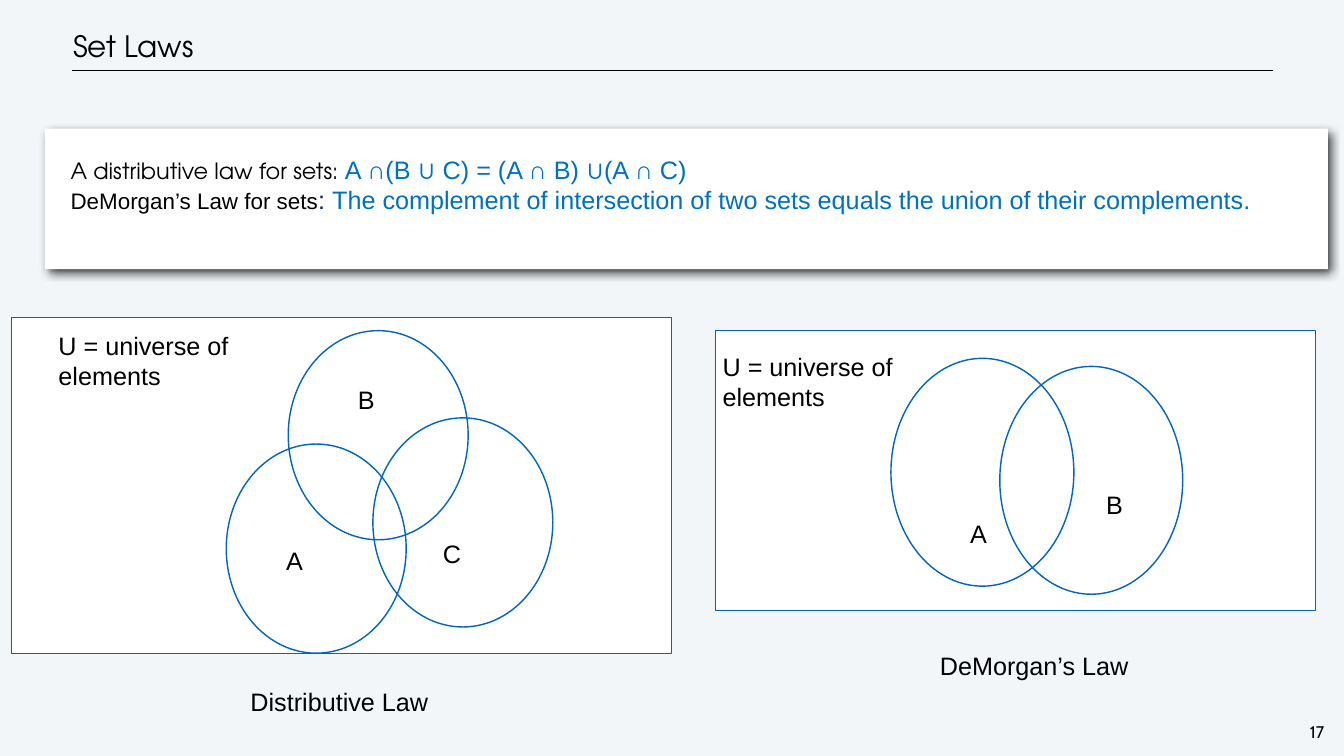
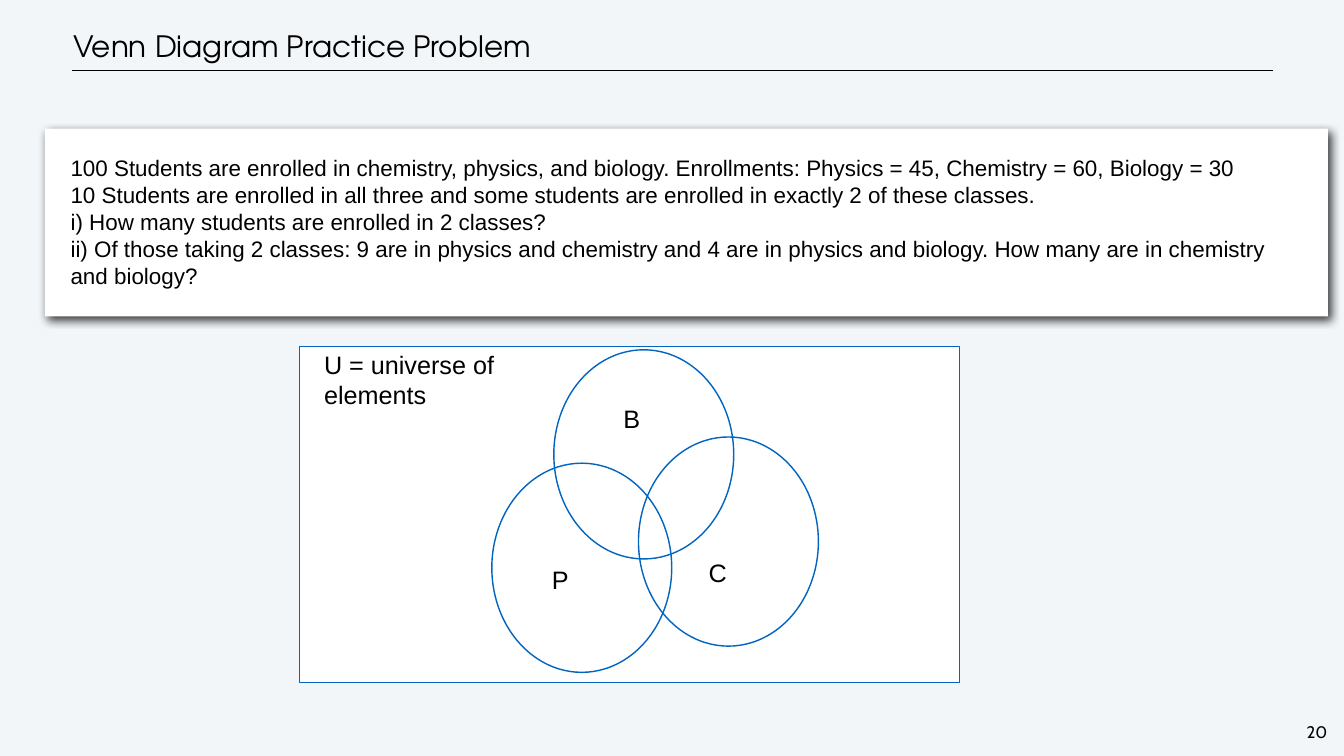
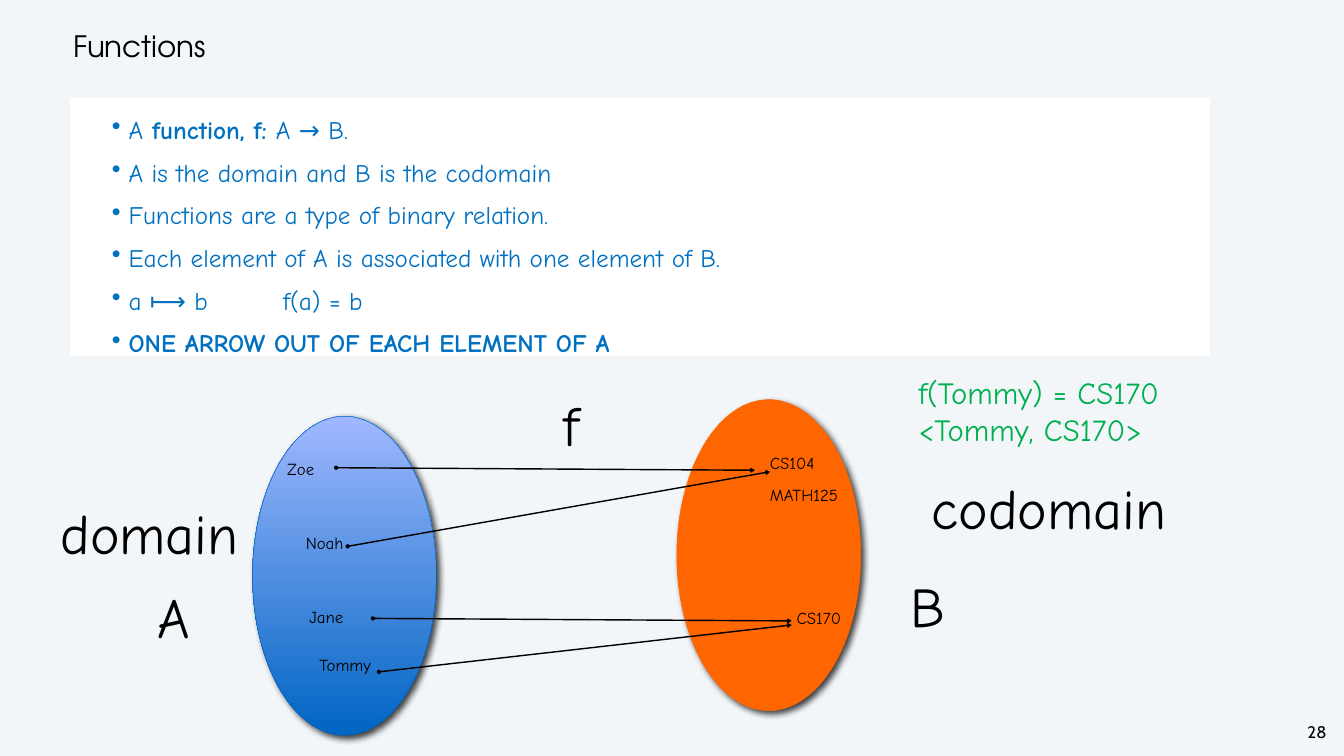
from lxml.etree import SubElement
from pptx import Presentation
from pptx.dml.color import RGBColor
from pptx.enum.shapes import MSO_CONNECTOR, MSO_SHAPE
from pptx.enum.text import MSO_ANCHOR, MSO_AUTO_SIZE, PP_ALIGN
from pptx.oxml.ns import qn
from pptx.util import Inches, Pt

BLACK = RGBColor(0x00, 0x00, 0x00)
WHITE = RGBColor(0xFF, 0xFF, 0xFF)
PALE = RGBColor(0xF3, 0xF6, 0xF9)
TEXT_BLUE = RGBColor(0x00, 0x70, 0xC0)
NAVY = RGBColor(0x00, 0x20, 0x60)
OUTLINE_BLUE = RGBColor(0x03, 0x65, 0xC0)
DOMAIN_EDGE = RGBColor(0x00, 0x63, 0xBF)
DOMAIN_DARK = RGBColor(0x00, 0x65, 0xC3)
DOMAIN_LIGHT = RGBColor(0xA0, 0xB8, 0xFF)
ORANGE = RGBColor(0xFF, 0x66, 0x00)
GREEN = RGBColor(0x00, 0xB0, 0x50)

TITLE_FONT, BODY_FONT, HAND_FONT, NUMBER_FONT = (
    "TeX Gyre Adventor", "Arial", "Comic Neue", "Cabin")

deck = Presentation()
deck.slide_width, deck.slide_height = Inches(26.67), Inches(15)
CELL = deck.slide_height // 15  # square grid: 15 rows, 26.67 columns


def place(page, kind, at, fill=None, line=None, width=2, blur=0):
    """Put a preset shape, or a text box if kind is None, on the grid."""
    spot = [round(CELL * cells) for cells in at]
    if kind is None:
        return page.shapes.add_textbox(*spot)
    shape = page.shapes.add_shape(kind, *spot)
    shape.shadow.inherit = False
    if fill is None:
        shape.fill.background()
    else:
        shape.fill.solid()
        shape.fill.fore_color.rgb = fill
    if line is None:
        shape.line.fill.background()
    else:
        shape.line.color.rgb = line
        shape.line.width = Pt(width)
    if blur:
        effects = shape._element.spPr.find(qn("a:effectLst"))
        shadow = SubElement(effects, qn("a:outerShdw"), blurRad=str(Pt(blur)),
                            dist=str(Pt(6)), dir="2700000", rotWithShape="0")
        tint = SubElement(shadow, qn("a:srgbClr"), val=str(BLACK))
        SubElement(tint, qn("a:alpha"), val="75000")
    return shape


def write(box, lines, size, font=BODY_FONT, color=BLACK, inset=(0.06, 0.06),
          anchor=MSO_ANCHOR.TOP):
    """Fill a shape with paragraphs; a line is a list of text spans."""
    frame = box.text_frame
    frame.word_wrap, frame.vertical_anchor = True, anchor
    frame.auto_size = MSO_AUTO_SIZE.NONE
    frame.margin_left = frame.margin_right = Inches(inset[0])
    frame.margin_top = frame.margin_bottom = Inches(inset[1])
    for number, spans in enumerate(lines):
        para = frame.add_paragraph() if number else frame.paragraphs[0]
        para.alignment = PP_ALIGN.LEFT
        para.font.name, para.font.size = font, Pt(size)
        para.font.color.rgb = color
        for text in spans:
            para.add_run().text = text
    return frame.paragraphs


# Background, titles, title rules and page numbers
deck.slide_master.background.fill.solid()
deck.slide_master.background.fill.fore_color.rgb = PALE
pages = []
for heading, number, ruled in [("Set Laws", "17", True),
                               ("Venn Diagram Practice Problem", "20", True),
                               ("Functions", "28", False)]:
    page = deck.slides.add_slide(deck.slide_layouts[5])
    pages.append(page)
    title = page.shapes.title
    title.left, title.top, title.width, title.height = (
        round(CELL * cells) for cells in (1.39, 0.42, 22.62, 0.99))
    para = write(title, [[heading]], 42, TITLE_FONT, anchor=MSO_ANCHOR.MIDDLE)[0]
    para.line_spacing, para.space_before = Pt(50), Pt(3)
    if ruled:
        rule = page.shapes.add_connector(
            MSO_CONNECTOR.STRAIGHT, *(round(CELL * cells) for cells in (1.42, 1.4, 25.27, 1.4)))
        rule.line.color.rgb, rule.line.width = BLACK, Pt(1)
        SubElement(rule._element.spPr, qn("a:effectLst"))
    box = place(page, None, (25.92, 14.29, 0.43, 0.47))
    para = write(box, [[number]], 24, NUMBER_FONT, inset=(0.04, 0.04))[0]
    para.alignment, para.line_spacing = PP_ALIGN.CENTER, Pt(28)
    box.text_frame.word_wrap = False
laws, practice, functions = pages

# Set laws: statement card with mixed spans
card = place(laws, MSO_SHAPE.RECTANGLE, (0.89, 2.55, 25.46, 2.79), WHITE, blur=13)
law_lines = [
    [("A distributive law for sets: ", 32, TITLE_FONT, BLACK),
     ("A ∩(B ∪ C) = (A ∩ B) ∪(A ∩ C)", 36, BODY_FONT, TEXT_BLUE)],
    [("DeMorgan’s Law for sets", 32, BODY_FONT, BLACK),
     (": ", 36, BODY_FONT, NAVY),
     ("The complement of intersection of two sets equals the union of their complements.",
      36, BODY_FONT, TEXT_BLUE)],
]
paragraphs = write(card, [[span[0] for span in line] for line in law_lines], 36,
                   inset=(0.51, 0.51))
for para, line in zip(paragraphs, law_lines):
    for span, (text, size, font, color) in zip(para.runs, line):
        span.font.size, span.font.name = Pt(size), font
        span.font.color.rgb = color

# Practice problem: question card
card = place(practice, MSO_SHAPE.RECTANGLE, (0.89, 2.55, 25.46, 3.73), WHITE, blur=13)
write(card, [
    ["100 Students are enrolled in chemistry, physics, and biology. "
     "Enrollments: Physics = 45, Chemistry = 60, Biology = 30"],
    ["10 Students are enrolled in all three and some students are enrolled "
     "in exactly 2 of these classes."],
    ["i) How many students are enrolled in 2 classes?"],
    ["ii) Of those taking 2 classes: 9 are in physics and chemistry and 4 are in "
     "physics and biology. How many are in chemistry and biology?"],
], 32, inset=(0.51, 0.51))

# Three-set Venn diagrams, laid out from the corner of circle B
for page, left, top, frame_left, frame_top, first in [
        (laws, 5.72, 6.56, 0.23, 6.3, "A"),
        (practice, 10.99, 6.94, 5.94, 6.87, "P")]:
    place(page, MSO_SHAPE.RECTANGLE, (frame_left, frame_top, 13.1, 6.67), WHITE, OUTLINE_BLUE)
    write(place(page, None, (left - 4.62, top - 0.07, 4.74, 1.32)),
          [["U = universe of elements"]], 36)
    for name, label_x, label_y, circle_x, circle_y in [
            (first, -0.1, 4.2, -1.23, 2.25),
            ("B", 1.32, 1, 0, 0),
            ("C", 3.01, 4.06, 1.68, 1.73)]:
        place(page, MSO_SHAPE.OVAL, (left + circle_x, top + circle_y, 3.57, 4.15),
              line=OUTLINE_BLUE)
        write(place(page, None, (left + label_x, top + label_y, 2.04, 0.72)), [[name]], 36)

# Two-set Venn diagram and captions
place(laws, MSO_SHAPE.RECTANGLE, (14.2, 6.56, 11.9, 5.56), WHITE, OUTLINE_BLUE)
for left, top in [(17.68, 7.11), (19.84, 7.27)]:
    place(laws, MSO_SHAPE.OVAL, (left, top, 3.63, 4.52), line=OUTLINE_BLUE)
for text, at in [("U = universe of elements", (14.28, 6.91, 4.3, 1.32)),
                 ("A", (19.19, 10.23, 1.86, 0.72)),
                 ("B", (21.89, 9.65, 1.86, 0.72)),
                 ("DeMorgan’s Law", (18.59, 12.85, 5.18, 0.72)),
                 ("Distributive Law", (4.91, 13.56, 5.18, 0.72))]:
    write(place(laws, None, at), [[text]], 36)

# Functions: bulleted definition
panel = place(functions, MSO_SHAPE.RECTANGLE, (1.39, 1.94, 22.62, 5.12), WHITE)
bullets = write(panel, [
    ["A", " function, f: ", "A → B."],
    ["A is the domain and B is the codomain"],
    ["Functions are a type of binary relation."],
    ["Each element of A is associated with one element of B."],
    ["a ⟼ b\tf(a) = b"],
    ["ONE ARROW OUT OF EACH ELEMENT OF A"],
], 36, HAND_FONT, TEXT_BLUE, (0.33, 0.33))
bullets[0].runs[1].font.bold = True
bullets[5].font.bold = True
for para in bullets:
    para.line_spacing, para.space_before = Pt(43), Pt(18)
    layout = para._p.get_or_add_pPr()
    layout.set("marL", str(Inches(0.83)))
    layout.set("indent", str(Inches(-0.33)))
    marks = [SubElement(layout, qn("a:buSzPct"), val="104000"),
             SubElement(layout, qn("a:buChar"), char="•"),
             SubElement(layout, qn("a:tabLst"))]
    SubElement(marks[2], qn("a:tab"), pos=str(Inches(3.9)), algn="l")
    for mark in marks:
        layout.find(qn("a:defRPr")).addprevious(mark)

# Domain and codomain ovals
domain = place(functions, MSO_SHAPE.OVAL, (5.01, 8.26, 3.65, 6.33), WHITE,
               DOMAIN_EDGE, 0.75, blur=10)
domain.fill.gradient()
domain.fill.gradient_angle = 90
for stop, color in zip(domain.fill.gradient_stops, (DOMAIN_DARK, DOMAIN_LIGHT)):
    stop.color.rgb = color
place(functions, MSO_SHAPE.OVAL, (13.43, 7.93, 3.65, 6.17), ORANGE, ORANGE, 0.75, blur=10)

# Mapping arrows
for ends in [(6.67, 9.28, 14.98, 9.33), (7.4, 12.27, 15.71, 12.32),
             (6.9, 10.84, 15.28, 9.36), (7.52, 13.33, 15.71, 12.4)]:
    arrow = functions.shapes.add_connector(
        MSO_CONNECTOR.STRAIGHT, *(round(CELL * cells) for cells in ends))
    arrow.line.color.rgb, arrow.line.width = BLACK, Pt(2)
    stroke = arrow.line._get_or_add_ln()
    SubElement(stroke, qn("a:headEnd"), type="oval")
    SubElement(stroke, qn("a:tailEnd"), type="arrow")
    SubElement(arrow._element.spPr, qn("a:effectLst"))

# Element names, set names and the worked example
for size, width, height, labels in [
        (24, 1.73, 0.5, [("Zoe", 5.6, 9.05), ("Noah", 5.97, 10.52), ("Jane", 6.04, 11.98),
                         ("Tommy", 6.24, 12.94), ("CS104", 15.18, 8.93),
                         ("MATH125", 15.18, 9.57), ("CS170", 15.71, 12.01)]),
        (80, 1.87, 1.45, [("A", 3.03, 11.51), ("B", 17.96, 11.29), ("f", 11.09, 7.69)]),
        (80, 6.08, 1.45, [("domain", 1.1, 9.84), ("codomain", 18.39, 9.34)])]:
    for text, left, top in labels:
        write(place(functions, None, (left, top, width, height)), [[text]], size,
              HAND_FONT, inset=(0.1, 0.05))
write(place(functions, None, (18.13, 7.37, 8.53, 1.58)),
      [["f(Tommy) = CS170"], ["<Tommy, CS170>"]], 44, HAND_FONT, GREEN, (0.1, 0.05))

deck.save("out.pptx")
